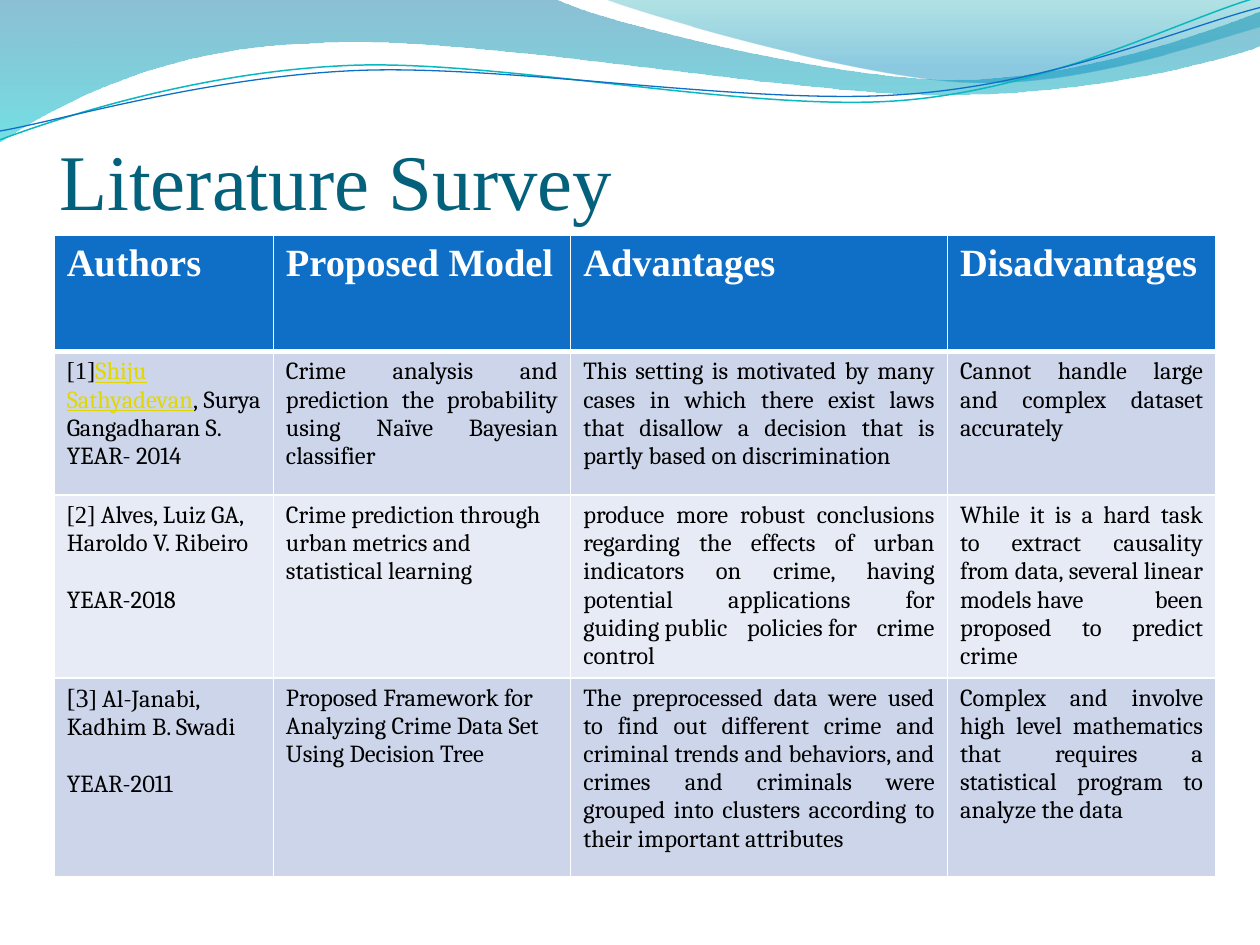
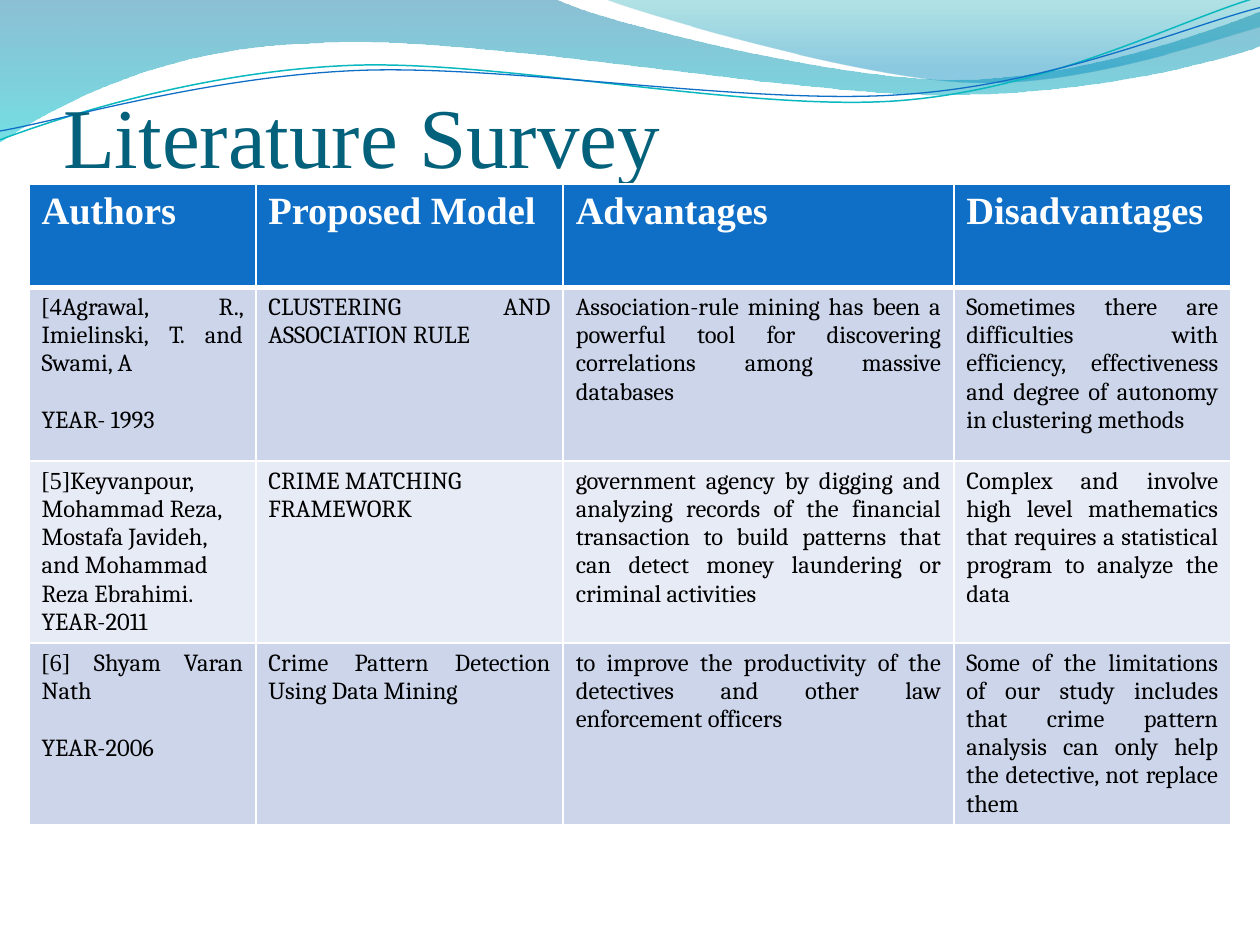
from lxml import etree
from pptx import Presentation
from pptx.dml.color import RGBColor
from pptx.enum.text import MSO_ANCHOR, MSO_AUTO_SIZE, PP_ALIGN
from pptx.oxml import parse_xml
from pptx.oxml.ns import nsdecls, qn
from pptx.util import Inches, Pt

SERIF, BODY = "Times New Roman", "Cambria"
TEAL, BLUE, CYAN = "04617B", "0F6FC6", "0AB8BF"
WHITE, BLACK, YELLOW = "FFFFFF", "000000", "E2D700"
BANDS = ["CCD5EA", "E7EBF5"]
HEADINGS = ["Authors", "Proposed Model", "Advantages", "Disadvantages"]
BODY_SIZE, LINE_GAP = 14, 16.4
NBSP = chr(160)

BROAD_WAVE = [
    (0, 0), (4.4, -0.01),
    (4.76, 0.17, 6.64, 0.63, 7.58, 0.63), (8.53, 0.63, 9.58, 0.26, 10, 0.09),
    (10.01, 0.36),
    (9.83, 0.44, 8.7, 0.76, 7.46, 0.75), (6.22, 0.75, 3.82, 0.28, 2.57, 0.34),
    (1.29, 0.36, 0.46, 0.83, -0.01, 1.13),
]
CORNER_WAVE = [
    (4.79, -0.01),
    (5.09, 0.11, 6.82, 0.62, 7.69, 0.65), (8.56, 0.69, 9.61, 0.32, 10, 0.21),
    (10, 0),
]
CYAN_LINE = [
    (0, 1.11), (0.48, 0.93, 1.58, 0.57, 2.77, 0.52),
    (3.95, 0.47, 5.93, 0.89, 7.13, 0.8), (8.33, 0.71, 9.38, 0.15, 9.98, -0.02),
]
BLUE_LINE = [
    (0, 1.04), (0.47, 0.96, 1.64, 0.61, 2.83, 0.56),
    (4.03, 0.51, 5.97, 0.84, 7.17, 0.75), (8.36, 0.67, 9.41, 0.21, 10, 0.06),
]

SURVEYS = [
    {
        "title": (0.47, 0.55, 9, 1.25), "title_size": 45,
        "table": (0.43, 1.87), "columns": [1.74, 2.36, 2.99, 2.13],
        "rows": [0.92, 1.14, 1.45, 1.58],
        "studies": [
            {"ref": [("[1]", 14)],
             "names": [("Shiju Sathyadevan", True), (", Surya Gangadharan S.", False)],
             "year": "YEAR- 2014", "gap": 0, "ragged": False,
             "findings": [
                 "Crime analysis and prediction the probability using Naïve Bayesian classifier",
                 "This setting is motivated by many cases in which there exist laws that "
                 "disallow a decision that is partly based on discrimination",
                 "Cannot handle large and complex dataset accurately"]},
            {"ref": [("[2]", 14)],
             "names": [(" Alves, Luiz GA, Haroldo V. Ribeiro", False)],
             "year": "YEAR-2018", "gap": LINE_GAP, "ragged": True,
             "findings": [
                 "Crime prediction through urban metrics and statistical learning",
                 "produce more robust conclusions regarding the effects of urban indicators "
                 f"on crime, having potential applications for guiding{NBSP}public "
                 f"policies{NBSP}for crime control",
                 "While it is a hard task to extract causality from data, "
                 f"several{NBSP}linear models{NBSP}have been proposed to predict crime"]},
            {"ref": [("[3", 15), ("]", 14)],
             "names": [(" Al-Janabi, Kadhim B. Swadi", False)],
             "year": "YEAR-2011", "gap": LINE_GAP, "ragged": True,
             "findings": [
                 "Proposed Framework for Analyzing Crime Data Set Using Decision Tree",
                 "The preprocessed data were used to find out different crime and criminal "
                 "trends and behaviors, and crimes and criminals were grouped into clusters "
                 "according to their important attributes",
                 "Complex and involve high level mathematics that requires a statistical "
                 "program to analyze the data"]},
        ],
    },
    {
        "title": (0.5, 0.77, 9, 0.7), "title_size": 48.6,
        "table": (0.23, 1.46), "columns": [1.8, 2.44, 3.1, 2.2],
        "rows": [0.82, 1.38, 1.38, 1.42],
        "studies": [
            {"ref": [("[4", 14)],
             "names": [("Agrawal, R., Imielinski, T. and Swami, A", False)],
             "year": "YEAR- 1993", "gap": LINE_GAP, "ragged": False,
             "findings": [
                 "CLUSTERING AND ASSOCIATION RULE",
                 "Association-rule mining has been a powerful tool for discovering "
                 "correlations among massive databases",
                 "Sometimes there are difficulties with efficiency, effectiveness and "
                 "degree of autonomy in clustering methods"]},
            {"ref": [("[5]", 14)],
             "names": [("Keyvanpour, Mohammad Reza, Mostafa Javideh, "
                        "and Mohammad Reza Ebrahimi.", False)],
             "year": "YEAR-2011", "gap": 0, "ragged": True,
             "findings": [
                 "CRIME MATCHING FRAMEWORK",
                 "government agency by digging and analyzing records of the financial "
                 "transaction to build patterns that can detect money laundering or "
                 "criminal activities",
                 "Complex and involve high level mathematics that requires a statistical "
                 "program to analyze the data"]},
            {"ref": [("[6] ", 14)],
             "names": [("Shyam Varan Nath ", False)],
             "year": "YEAR-2006", "gap": LINE_GAP, "ragged": False,
             "findings": [
                 "Crime Pattern Detection Using Data Mining",
                 "to improve the productivity of the detectives and other law "
                 "enforcement officers",
                 "Some of the limitations of our study includes that crime pattern "
                 "analysis can only help the detective, not replace them"]},
        ],
    },
]


def rgb(color):
    """Turn a hex string into a colour."""
    return RGBColor.from_string(color)


def add_run(paragraph, text, size=BODY_SIZE, font=BODY, color=BLACK, bold=False, underline=False):
    """Append one formatted run."""
    run = paragraph.add_run()
    run.text = text
    run.font.size = Pt(size)
    run.font.name = font
    run.font.color.rgb = rgb(color)
    run.font.bold = bold
    run.font.underline = underline


def bend(shape, outline):
    """Turn the straight segments that have control points into cubic curves."""
    segments = shape._element.spPr.findall(f".//{qn('a:lnTo')}")
    for straight, segment in zip(segments, outline[1:]):
        if len(segment) == 2:
            continue
        curve = etree.Element(qn("a:cubicBezTo"))
        for x, y in zip(segment[::2], segment[1::2]):
            etree.SubElement(curve, qn("a:pt"), x=str(Inches(x) - shape.left),
                             y=str(Inches(y) - shape.top))
        straight.getparent().replace(straight, curve)


def add_outline(slide, outline, close):
    """Draw a curved freeform and send it to the slide master."""
    first, *rest = [tuple(map(Inches, segment[-2:])) for segment in outline]
    builder = slide.shapes.build_freeform(*first)
    builder.add_line_segments(rest, close=close)
    shape = builder.convert_to_shape()
    bend(shape, outline)
    shape.shadow.inherit = False
    slide.slide_layout.slide_master.shapes._spTree.append(shape._element)
    return shape


def add_wave(slide, outline, stops):
    """Draw a wave filled with a downward translucent gradient."""
    wave = add_outline(slide, outline, True)
    wave.line.fill.background()
    wave.fill.gradient()
    gradient = wave._element.spPr.find(qn("a:gradFill"))
    stop_list = gradient.find(qn("a:gsLst"))
    for old in list(stop_list):
        stop_list.remove(old)
    for position, color, opacity in stops:
        stop_list.append(parse_xml(
            f'<a:gs {nsdecls("a")} pos="{position * 1000}"><a:srgbClr val="{color}">'
            f'<a:alpha val="{opacity * 1000}"/></a:srgbClr></a:gs>'))
    gradient.find(qn("a:lin")).set("ang", "5400000")


def add_wave_line(slide, outline, color, width):
    """Draw a thin open curve."""
    curve = add_outline(slide, outline, False)
    curve.fill.background()
    curve.line.color.rgb = rgb(color)
    curve.line.width = Pt(width)


def add_wave_band(slide):
    """Draw the wave band shared by all slides."""
    add_wave(slide, BROAD_WAVE, [(0, "0074A1", 45), (100, "00C6CF", 55)])
    add_wave(slide, CORNER_WAVE, [(0, "00A1A9", 30), (80, "008BBF", 45)])
    add_wave_line(slide, CYAN_LINE, CYAN, 0.85)
    add_wave_line(slide, BLUE_LINE, BLUE, 0.75)


def set_title(slide, box, size):
    """Place and fill the title placeholder."""
    title = slide.shapes.title
    title.left, title.top, title.width, title.height = map(Inches, box)
    frame = title.text_frame
    frame.auto_size = MSO_AUTO_SIZE.NONE
    frame.word_wrap = True
    frame.vertical_anchor = MSO_ANCHOR.BOTTOM
    frame.margin_left = frame.margin_right = frame.margin_bottom = 0
    frame.margin_top = Inches(0.05)
    paragraph = frame.paragraphs[0]
    paragraph.alignment = PP_ALIGN.LEFT
    add_run(paragraph, "Literature Survey", size, SERIF, TEAL)


def style_cell(cell, fill, top, bottom):
    """Fill a cell and give it white borders."""
    cell.fill.solid()
    cell.fill.fore_color.rgb = rgb(fill)
    properties = cell._tc.get_or_add_tcPr()
    for index, (side, width) in enumerate([("L", 1), ("R", 1), ("T", top), ("B", bottom)]):
        border = etree.Element(qn(f"a:ln{side}"), w=str(Pt(width)))
        solid = etree.SubElement(border, qn("a:solidFill"))
        etree.SubElement(solid, qn("a:srgbClr"), val=WHITE)
        properties.insert(index, border)


def fill_study(cells, study):
    """Write one study into its row."""
    early = PP_ALIGN.LEFT if study["ragged"] else PP_ALIGN.JUSTIFY
    authors = cells[0].text_frame.paragraphs[0]
    authors.alignment = early
    for text, size in study["ref"]:
        add_run(authors, text, size, SERIF)
    for text, linked in study["names"]:
        add_run(authors, text, color=YELLOW if linked else BLACK, underline=linked)
    year = cells[0].text_frame.add_paragraph()
    year.alignment = early
    year.space_before = Pt(study["gap"])
    add_run(year, study["year"])
    alignments = [early, PP_ALIGN.JUSTIFY, PP_ALIGN.JUSTIFY]
    for cell, text, alignment in zip(cells[1:], study["findings"], alignments):
        finding = cell.text_frame.paragraphs[0]
        finding.alignment = alignment
        add_run(finding, text)


def add_survey_table(slide, corner, widths, heights, studies):
    """Build the table of studies from its top left corner."""
    table = slide.shapes.add_table(
        len(heights), len(widths), *map(Inches, (*corner, sum(widths), sum(heights)))).table
    for column, width in zip(table.columns, widths):
        column.width = Inches(width)
    for index, (row, height) in enumerate(zip(table.rows, heights)):
        row.height = Inches(height)
        fill = BANDS[(index - 1) % 2] if index else BLUE
        for cell in row.cells:
            style_cell(cell, fill, 3 if index == 1 else 1, 1 if index else 3)
    for cell, heading in zip(table.rows[0].cells, HEADINGS):
        add_run(cell.text_frame.paragraphs[0], heading, 22, SERIF, WHITE, bold=True)
    for index, study in enumerate(studies, 1):
        fill_study(list(table.rows[index].cells), study)


def add_survey_slide(prs, survey):
    """Add one literature survey slide."""
    slide = prs.slides.add_slide(prs.slide_layouts[5])
    set_title(slide, survey["title"], survey["title_size"])
    add_survey_table(slide, survey["table"], survey["columns"], survey["rows"], survey["studies"])
    return slide


def main():
    """Build and save the presentation."""
    prs = Presentation()
    prs.slide_width, prs.slide_height = Inches(10), Inches(7.5)
    slides = [add_survey_slide(prs, survey) for survey in SURVEYS]
    add_wave_band(slides[0])
    prs.save("out.pptx")


if __name__ == "__main__":
    main()
